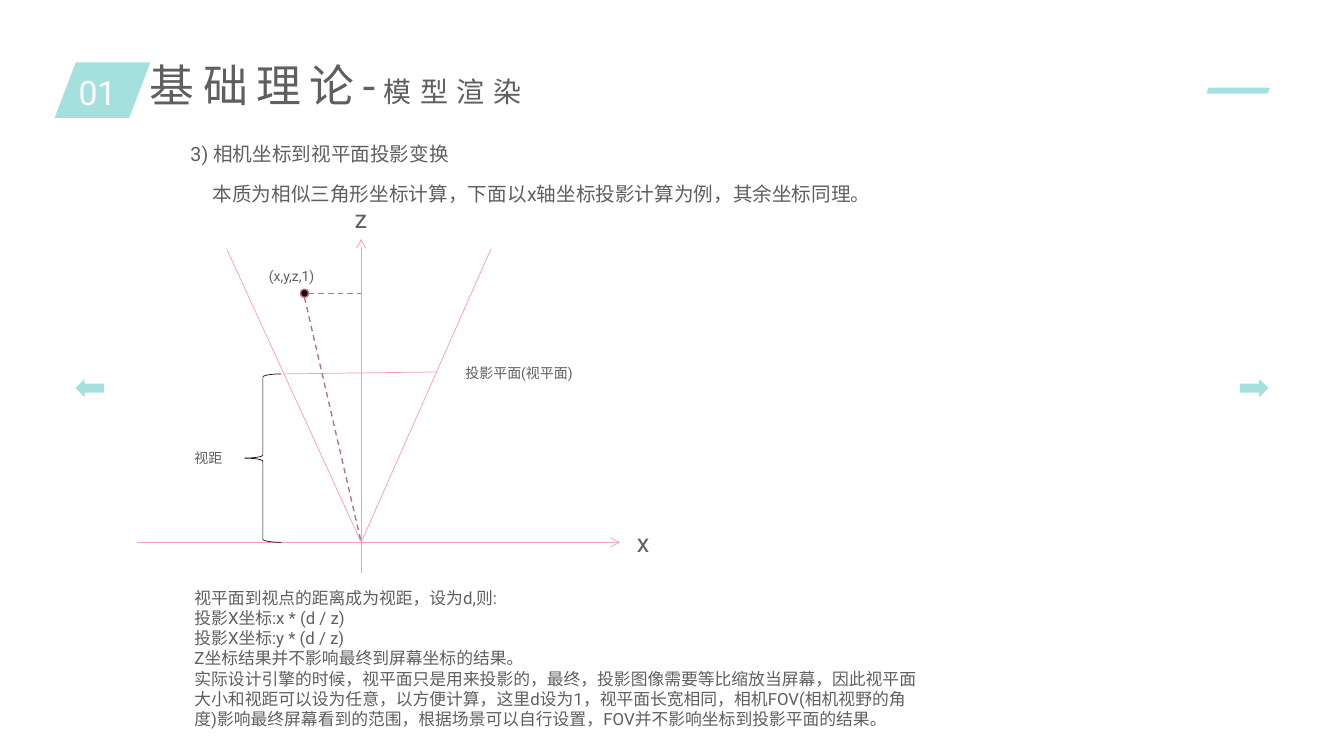
from lxml.etree import SubElement
from pptx import Presentation
from pptx.dml.color import RGBColor
from pptx.enum.dml import MSO_LINE as Dash
from pptx.enum.shapes import MSO_CONNECTOR as Link, MSO_SHAPE as Form
from pptx.enum.text import MSO_AUTO_SIZE as Fit, PP_ALIGN as Align
from pptx.oxml.ns import qn
from pptx.util import Pt

TEAL = RGBColor(0xA5, 0xE0, 0xDE)
GRAY = RGBColor(0x5F, 0x5F, 0x5F)
WHITE = RGBColor(0xFF, 0xFF, 0xFF)
PINK = RGBColor(0xF4, 0x9E, 0xB7)
ROSE = RGBColor(0xB5, 0x75, 0x87)
DARK = RGBColor(0x25, 0x08, 0x08)

NOTES = [
    "视平面到视点的距离成为视距，设为d,则:",
    "投影X坐标:x * (d / z)",
    "投影X坐标:y * (d / z)",
    "Z坐标结果并不影响最终到屏幕坐标的结果。",
    "实际设计引擎的时候，视平面只是用来投影的，最终，投影图像需要等比缩放当屏幕，"
    "因此视平面大小和视距可以设为任意，以方便计算，这里d设为1，视平面长宽相同，"
    "相机FOV(相机视野的角度)影响最终屏幕看到的范围，根据场景可以自行设置，"
    "FOV并不影响坐标到投影平面的结果。",
]


class Board:
    face = "Roboto"

    def __init__(self, slide):
        self.items = slide.shapes

    def style(self, run, size, color):
        font = run.font
        font.name = self.face
        font.size = Pt(size)
        font.color.rgb = color

    def text(self, box, lines, size, color=GRAY, align=None):
        frame = self.items.add_textbox(*map(Pt, box)).text_frame
        frame.word_wrap = True
        frame.auto_size = Fit.SHAPE_TO_FIT_TEXT
        frame.text = "\n".join(lines)
        for para in frame.paragraphs:
            para.alignment = align
            for run in para.runs:
                self.style(run, size, color)
        return frame

    def title(self, box, main, sub):
        para = self.text(box, [main], 32).paragraphs[0]
        tail = para.add_run()
        tail.text = sub
        self.style(tail, 20, GRAY)
        for run in para.runs:
            run.font._element.set("spc", "600")

    def shape(self, form, box, fill=None, line=None, width=0.5, adj=None):
        item = self.items.add_shape(form, *map(Pt, box))
        item.shadow.inherit = False
        if adj is not None:
            item.adjustments[0] = adj
        if fill is None:
            item.fill.background()
        else:
            item.fill.solid()
            item.fill.fore_color.rgb = fill
        if line is None:
            item.line.fill.background()
        else:
            item.line.color.rgb = line
            item.line.width = Pt(width)

    def line(self, start, end, color=PINK, width=0.5, dash=None, arrow=False):
        item = self.items.add_connector(Link.STRAIGHT, *map(Pt, start + end))
        item.line.color.rgb = color
        item.line.width = Pt(width)
        if dash:
            item.line.dash_style = dash
        props = item._element.spPr
        if arrow:
            SubElement(props.find(qn("a:ln")), qn("a:tailEnd"), type="arrow")
        SubElement(props, qn("a:effectLst"))


def main():
    deck = Presentation()
    deck.slide_width, deck.slide_height = Pt(960), Pt(540)
    board = Board(deck.slides.add_slide(deck.slide_layouts[6]))

    board.shape(Form.PARALLELOGRAM, (861.8, 62.6, 45.4, 4.3), TEAL, adj=0.382)
    board.title((100, 37.4, 450, 46), "基础理论-", "模型渲染")
    board.shape(Form.PARALLELOGRAM, (39, 44.6, 68.4, 39.6), TEAL, adj=0.382)
    board.text((39, 47.5, 61.2, 36), ["01"], 24, WHITE, Align.CENTER)
    for form, left in (Form.RIGHT_ARROW, 885.6), (Form.LEFT_ARROW, 54):
        board.shape(form, (left, 270.7, 20.4, 13), TEAL)

    board.text((129, 98, 204.5, 24.5), ["3) 相机坐标到视平面投影变换"], 14)
    board.text((144.7, 126.7, 531.4, 24.5),
               ["本质为相似三角形坐标计算，下面以x轴坐标投影计算为例，其余坐标同理。"], 14)

    eye = (258, 387.4)
    board.line((162, 178), eye)
    board.line(eye, (350.6, 178))
    board.line((98, 387.4), (442.8, 387.4), arrow=True)
    board.line((203, 267.1), (311.8, 265.7))
    board.line((258, 409), (258, 170.6), arrow=True)
    board.shape(Form.OVAL, (214.6, 206.6, 5.8, 5.8), DARK, ROSE, 1)
    board.line((217.5, 212.4), eye, ROSE, 1, Dash.DASH)
    board.line((220.4, 209.5), (258, 209.5), ROSE, 1, Dash.DASH)

    board.text((185, 187.2, 73.4, 19.4), ["(x,y,z,1)"], 10)
    board.text((246.2, 141.8, 23.8, 29), ["z"], 18)
    board.text((447.8, 373, 23.8, 29), ["x"], 18)
    board.text((325.4, 257, 97.2, 19.4), ["投影平面(视平面)"], 10)
    board.shape(Form.LEFT_BRACE, (174.5, 267.1, 26.6, 120.3), line=DARK)
    board.text((131.8, 317.5, 34.6, 19.4), ["视距"], 10)
    board.text((131.8, 416.2, 531.4, 108.7), NOTES, 12)
    deck.save("out.pptx")


if __name__ == "__main__":
    main()
